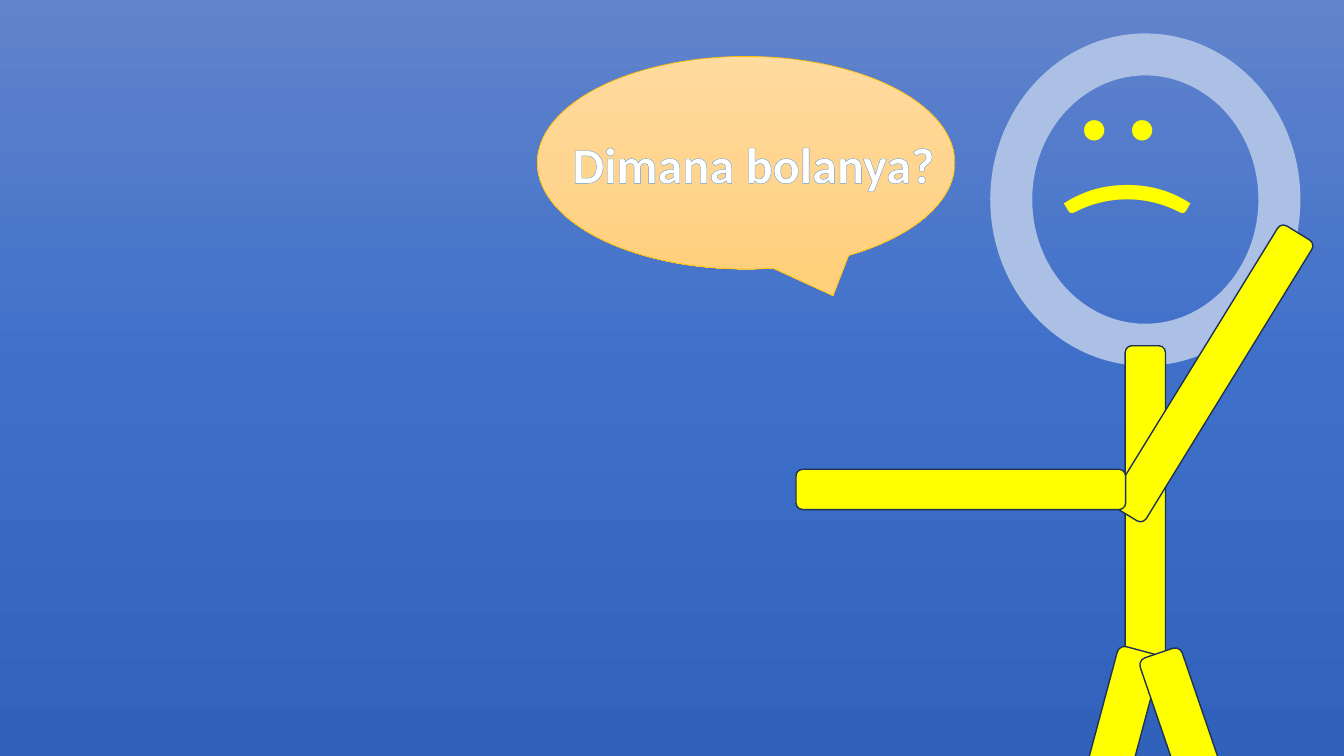
"""Build a slide of a sad stick figure asking where the ball is."""
from lxml import etree
from pptx import Presentation
from pptx.dml.color import RGBColor
from pptx.enum.shapes import MSO_SHAPE
from pptx.enum.text import MSO_AUTO_SIZE, PP_ALIGN
from pptx.oxml import parse_xml
from pptx.oxml.ns import nsdecls
from pptx.util import Inches, Pt

RECTANGLE = MSO_SHAPE.RECTANGLE
OVAL = MSO_SHAPE.OVAL
ROUNDED = MSO_SHAPE.ROUNDED_RECTANGLE
CALLOUT = MSO_SHAPE.OVAL_CALLOUT
CENTER = PP_ALIGN.CENTER
FIT_SHAPE = MSO_AUTO_SIZE.SHAPE_TO_FIT_TEXT

WIDTH, HEIGHT = 13.33, 7.5
YELLOW, NAVY = "FFFF00", "1E3256"
SKY = ["6183CB", "3E70CA", "3062BB"]
PEACH = ["FFDB9E", "FFD590", "FFD07C"]
HEAD = (10.03, 0.54, 2.66, 2.88)
BUBBLE = (5.33, 0.56, 4.14, 2.11)
FACE = (10.52, 0.78, 1.54, 1.72)
QUESTION = (5.56, 1.27, 3.83, 0.71)
TRUNK_SIZE, LEG_SIZE = (0.4, 3.27), (0.44, 2.57)
LIMBS = [
    ((11.16, 3.43), TRUNK_SIZE, 0),
    ((11.82, 2.07), TRUNK_SIZE, 31.6),
    ((9.33, 3.22), TRUNK_SIZE, 270),
    ((10.76, 6.41), LEG_SIZE, 15),
    ((11.69, 6.41), LEG_SIZE, 341.1),
]


def color(value):
    return RGBColor.from_string(value)


def gradient_fill(stops):
    gradient = parse_xml(f'<a:gradFill {nsdecls("a")} rotWithShape="1"><a:gsLst/>'
                         '<a:lin ang="5400000" scaled="0"/></a:gradFill>')
    for index, value in enumerate(stops):
        position = index * 100000 // (len(stops) - 1)
        gradient[0].append(parse_xml(f'<a:gs {nsdecls("a")} pos="{position}">'
                                     f'<a:srgbClr val="{value}"/></a:gs>'))
    return gradient


def add_shape(slide, kind, box, fill=None, line=None, width=1, rotation=0):
    shape = slide.shapes.add_shape(kind, *map(Inches, box))
    shape.shadow.inherit = False
    shape.rotation = rotation
    if isinstance(fill, list):
        properties = shape._element.spPr
        geometry = properties.find("{*}prstGeom")
        geometry.addnext(gradient_fill(fill))
    elif fill:
        shape.fill.solid()
        shape.fill.fore_color.rgb = color(fill)
    else:
        shape.fill.background()
    if line:
        shape.line.color.rgb = color(line)
        shape.line.width = Pt(width)
    else:
        shape.line.fill.background()
    return shape


def add_text(slide, text, box, font, size, fill, outline=None, rotation=0):
    text_box = slide.shapes.add_textbox(*map(Inches, box))
    text_box.rotation = rotation
    frame = text_box.text_frame
    frame.word_wrap = False
    frame.auto_size = FIT_SHAPE
    paragraph = frame.paragraphs[0]
    paragraph.alignment = CENTER
    run = paragraph.add_run()
    run.text = text
    run.font.name = font
    run.font.size = Pt(size)
    run.font.bold = True
    run.font.color.rgb = color(fill)
    if outline:
        value, width = outline
        line = parse_xml(f'<a:ln {nsdecls("a")} w="{Pt(width)}"><a:solidFill/></a:ln>')
        namespace = line.nsmap["a"]
        etree.SubElement(line[0], f"{{{namespace}}}srgbClr", val=value)
        run.font._element.insert(0, line)


def main():
    presentation = Presentation()
    presentation.slide_width = Inches(WIDTH)
    presentation.slide_height = Inches(HEIGHT)
    slide = presentation.slides.add_slide(presentation.slide_layouts[6])

    add_shape(slide, RECTANGLE, (0, 0, WIDTH, HEIGHT), fill=SKY)
    add_shape(slide, OVAL, HEAD, line="ABC0E4", width=30)
    for position, size, rotation in LIMBS:
        add_shape(slide, ROUNDED, position + size, fill=YELLOW, line=NAVY, rotation=rotation)
    add_text(slide, ": (", FACE, font="Lato", size=96, fill=YELLOW, rotation=90)

    bubble = add_shape(slide, CALLOUT, BUBBLE, fill=PEACH, line="FFC000", width=0.5)
    bubble._element.spPr.find("{*}xfrm").set("flipH", "1")
    add_text(slide, "Dimana bolanya?", QUESTION, font="Calibri", size=36,
             fill="FFFFFF", outline=("5B9BD5", 0.8))
    presentation.save("out.pptx")


if __name__ == "__main__":
    main()
